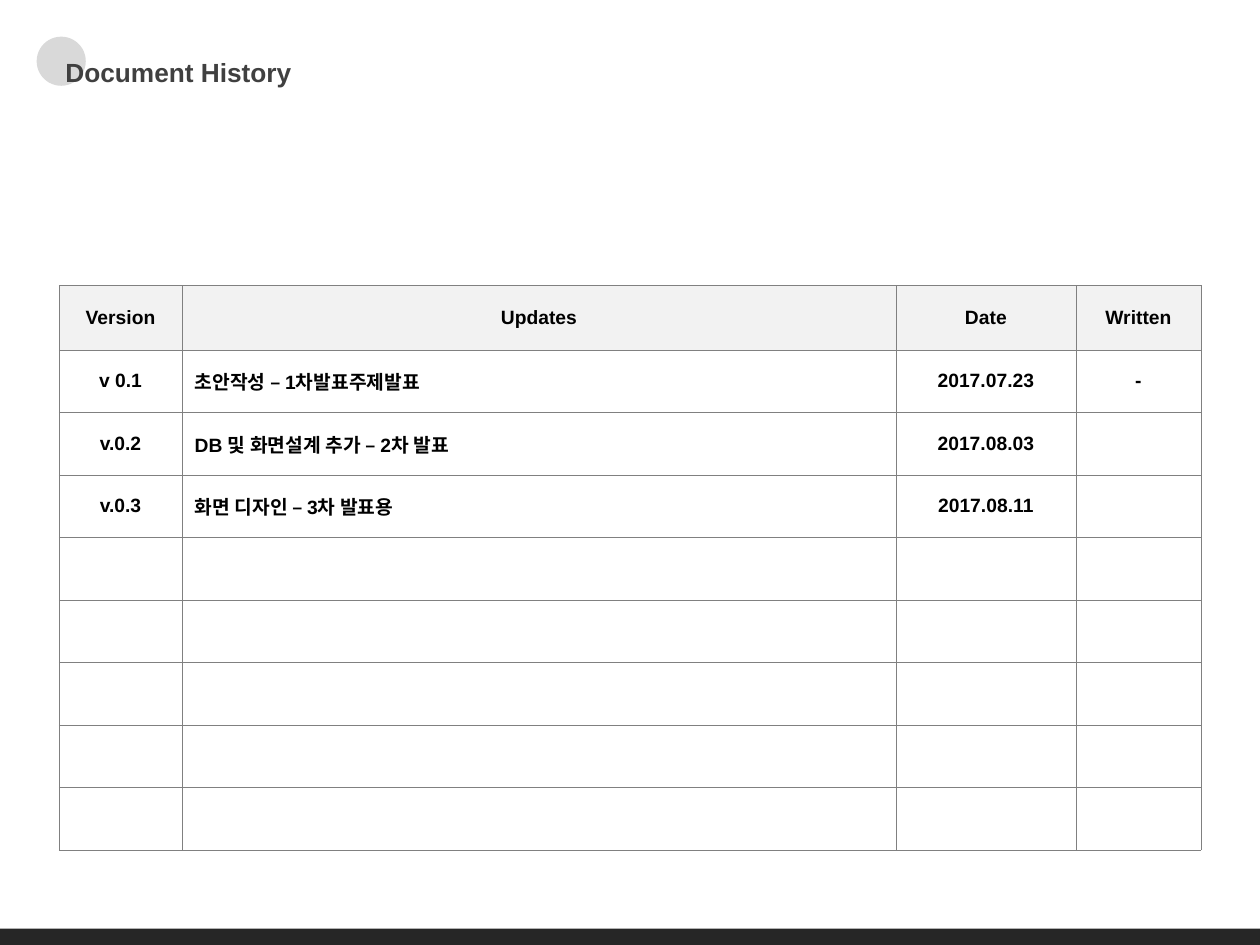
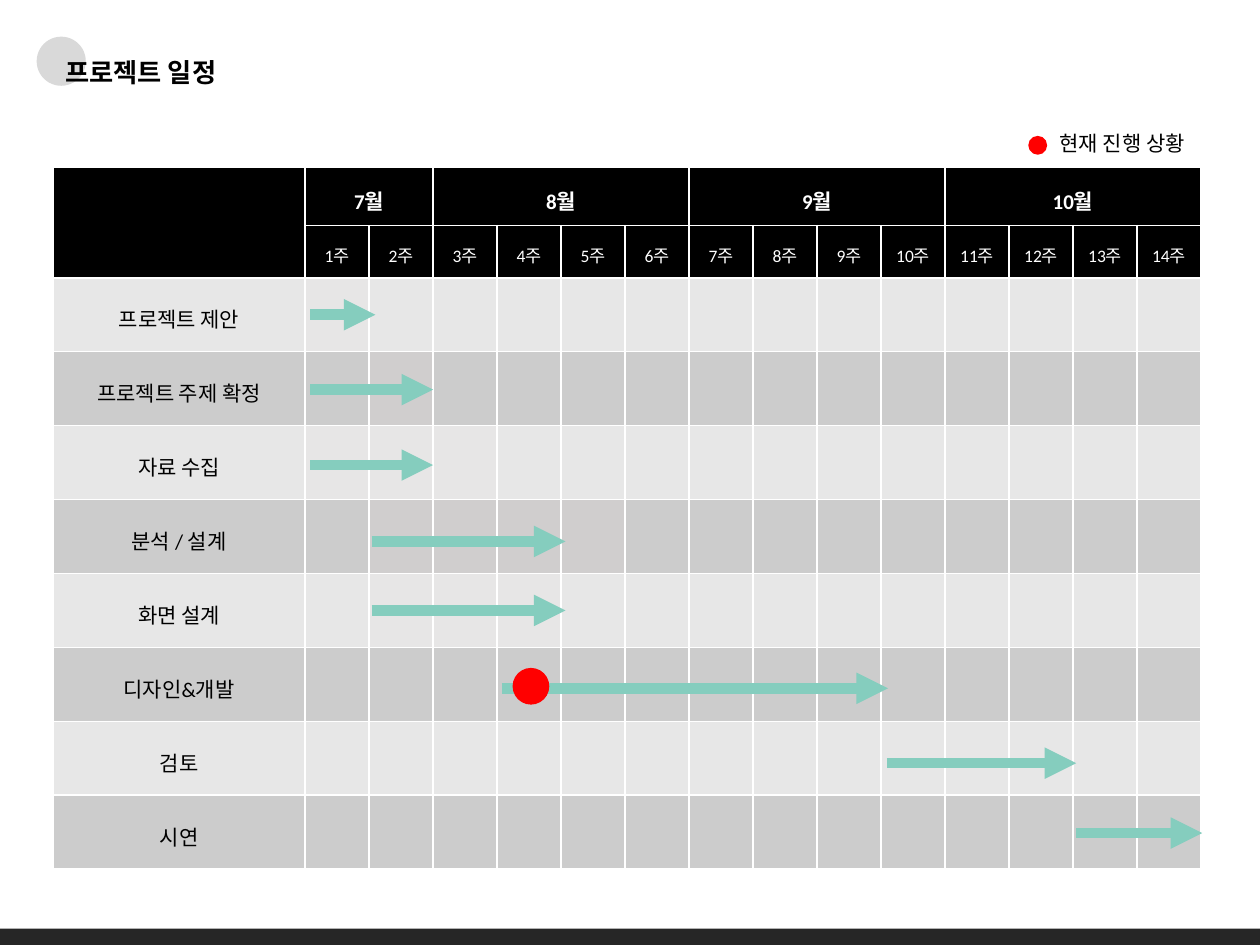
from dataclasses import dataclass

from lxml import etree
from pptx import Presentation
from pptx.dml.color import RGBColor
from pptx.enum.shapes import MSO_CONNECTOR, MSO_SHAPE
from pptx.enum.text import MSO_ANCHOR, PP_ALIGN
from pptx.oxml.ns import qn
from pptx.util import Cm, Pt

OVAL, RECT = MSO_SHAPE.OVAL, MSO_SHAPE.RECTANGLE
STRAIGHT = MSO_CONNECTOR.STRAIGHT
MIDDLE, BOTTOM, TOP = MSO_ANCHOR.MIDDLE, MSO_ANCHOR.BOTTOM, MSO_ANCHOR.TOP
LEFT, CENTER = PP_ALIGN.LEFT, PP_ALIGN.CENTER


@dataclass(frozen=True)
class Theme:
    black: str = "000000"
    white: str = "FFFFFF"
    title_gray: str = "404040"
    disc: str = "D9D9D9"
    band: str = "262626"
    head_fill: str = "F2F2F2"
    history_rule: str = "808080"
    stripes: tuple = ("E7E7E7", "CCCCCC")
    planned: tuple = ("E7E6E6", "D0CECE")
    arrow: str = "85CDBE"
    now: str = "FF0000"
    heading_font: str = "Arial"
    schedule_font: str = "Calibri"
    title_size: float = 15
    history_size: float = 11
    label_size: float = 12
    week_size: float = 10
    arrow_width: float = 6


THEME = Theme()

HISTORY_COLS = (2.48, 14.39, 3.63, 2.52)
HISTORY_HEAD = ("Version", "Updates", "Date", "Written")
HISTORY = (
    ("v 0.1", "초안작성 – 1차발표주제발표", "2017.07.23", "-"),
    ("v.0.2", "DB 및 화면설계 추가 – 2차 발표", "2017.08.03", ""),
    ("v.0.3", "화면 디자인 – 3차 발표용", "2017.08.11", ""),
)
HISTORY_BLANK_ROWS = 5
HISTORY_ROW_HEIGHTS = (1.3, 1.26)

MONTHS = (("7월", 2), ("8월", 4), ("9월", 4), ("10월", 4))
WEEKS = sum(weeks for _, weeks in MONTHS)
TASK_WIDTH, WEEK_WIDTH = 5.08, 1.29
MONTH_HEIGHT, WEEK_HEIGHT, TASK_HEIGHT = 1.18, 1.05, 1.49
# task, arrow start and end in weeks, arrow drop in cm, weeks tinted as planned
TASKS = (
    ("프로젝트 제안", 0.08, 1.1, 0, range(1, 2)),
    ("프로젝트 주제 확정", 0.08, 2, 0.02, range(2, 3)),
    ("자료 수집", 0.08, 2, 0.05, range(1, 4)),
    ("분석 / 설계", 1.04, 4.07, 0.1, range(2, 6)),
    ("화면 설계", 1.04, 4.07, 0, range(2, 5)),
    ("디자인&개발", 3.07, 9.11, 0.08, ()),
    ("검토", 9.09, 12.05, 0.1, ()),
    ("시연", 12.05, 14.02, 0.02, ()),
)
CURRENT_TASK, CURRENT_WEEK = 5, 3.53


def rgb(color):
    return RGBColor.from_string(color)


def write(frame, text, font, size, color, bold=False, align=LEFT, spacing=None):
    paragraph = frame.paragraphs[0]
    paragraph.text = text
    paragraph.alignment = align
    paragraph.line_spacing = spacing
    run_font = paragraph.runs[0].font
    for name, value in dict(name=font, size=Pt(size), bold=bold).items():
        setattr(run_font, name, value)
    run_font.color.rgb = rgb(color)


def add_text(slide, box, text, anchor, **style):
    frame = slide.shapes.add_textbox(*map(Cm, box)).text_frame
    frame.word_wrap = True
    frame.vertical_anchor = anchor
    write(frame, text, **style)


def add_plain(slide, kind, box, color):
    shape = slide.shapes.add_shape(kind, *map(Cm, box))
    shape.shadow.inherit = False
    shape.fill.solid()
    shape.fill.fore_color.rgb = rgb(color)
    shape.line.fill.background()


def add_dot(slide, x, y, diameter):
    """Red progress dot centred on x, y."""
    corner = (x - diameter / 2, y - diameter / 2)
    add_plain(slide, OVAL, (*corner, diameter, diameter), THEME.now)


def add_arrow(slide, x1, x2, y):
    arrow = slide.shapes.add_connector(STRAIGHT, *map(Cm, (x1, y, x2, y)))
    arrow.line.width = Pt(THEME.arrow_width)
    arrow.line.color.rgb = rgb(THEME.arrow)
    line = arrow.line._get_or_add_ln()
    etree.SubElement(line, qn("a:tailEnd"), type="triangle")
    etree.SubElement(arrow._element.spPr, qn("a:effectLst"))


def add_grid(slide, left, top, widths, heights):
    """Add a table without style banding, sized by its rows and columns."""
    box = map(Cm, (left, top, sum(widths), sum(heights)))
    table = slide.shapes.add_table(len(heights), len(widths), *box).table
    table.first_row = table.horz_banding = False
    for column, width in zip(table.columns, widths):
        column.width = Cm(width)
    for row, height in zip(table.rows, heights):
        row.height = Cm(height)
    return table


def format_cell(cell, fill, rule, rule_width):
    """Set borders, then fill: the schema wants them in that order."""
    properties = cell._tc.get_or_add_tcPr()
    for side in ("lnL", "lnR", "lnT", "lnB"):
        edge = etree.SubElement(properties, qn(f"a:{side}"), w=str(Pt(rule_width)))
        solid = etree.SubElement(edge, qn("a:solidFill"))
        etree.SubElement(solid, qn("a:srgbClr"), val=rule)
    if fill:
        cell.fill.solid()
        cell.fill.fore_color.rgb = rgb(fill)
    else:
        cell.fill.background()
    cell.vertical_anchor = MIDDLE


def add_frame(prs, title, color):
    """New slide with the disc, the bottom band and the title."""
    slide = prs.slides.add_slide(prs.slide_layouts[6])
    add_plain(slide, OVAL, (0.74, 0.74, 0.99, 0.99), THEME.disc)
    add_plain(slide, RECT, (0, 18.72, 25.4, 0.41), THEME.band)
    add_text(slide, (1.07, 0.99, 8.56, 0.92), title, BOTTOM,
             font=THEME.heading_font, size=THEME.title_size, color=color,
             bold=True, spacing=0.9)
    return slide


def add_history(slide, left, top):
    rows = (HISTORY_HEAD, *HISTORY) + (("",) * len(HISTORY_COLS),) * HISTORY_BLANK_ROWS
    head_height, row_height = HISTORY_ROW_HEIGHTS
    heights = [head_height] + [row_height] * (len(rows) - 1)
    table = add_grid(slide, left, top, HISTORY_COLS, heights)
    for r, entries in enumerate(rows):
        for c, text in enumerate(entries):
            cell = table.cell(r, c)
            format_cell(cell, None if r else THEME.head_fill, THEME.history_rule, 0.25)
            if text:
                write(cell.text_frame, text, THEME.heading_font, THEME.history_size,
                      THEME.black, bold=True, align=LEFT if r and c == 1 else CENTER)


def schedule_fill(row, week):
    if row < 2:
        return THEME.black
    task = row - 2
    shades = THEME.planned if week in TASKS[task][-1] else THEME.stripes
    return shades[task % 2]


def add_schedule_table(slide, left, top):
    widths = [TASK_WIDTH] + [WEEK_WIDTH] * WEEKS
    heights = [MONTH_HEIGHT, WEEK_HEIGHT] + [TASK_HEIGHT] * len(TASKS)
    table = add_grid(slide, left, top, widths, heights)
    for r in range(len(heights)):
        for c in range(len(widths)):
            format_cell(table.cell(r, c), schedule_fill(r, c), THEME.white, 1)

    def label(row, column, text, size, color, bold=False):
        write(table.cell(row, column).text_frame, text, THEME.schedule_font,
              size, color, bold, CENTER, 1.25)

    table.cell(0, 0).merge(table.cell(1, 0))
    first = 1
    for month, weeks in MONTHS:
        table.cell(0, first).merge(table.cell(0, first + weeks - 1))
        label(0, first, month, THEME.label_size, THEME.white, True)
        first += weeks
    for week in range(1, WEEKS + 1):
        label(1, week, f"{week}주", THEME.week_size, THEME.white)
    for r, (task, *_) in enumerate(TASKS, 2):
        label(r, 0, task, THEME.label_size, THEME.black)


def add_progress(slide, left, top):
    """Task arrows and the current dot, over a schedule table at left, top."""
    weeks_left = left + TASK_WIDTH
    tasks_top = top + MONTH_HEIGHT + WEEK_HEIGHT
    for i, (_, start, end, drop, _) in enumerate(TASKS):
        add_arrow(slide, weeks_left + start * WEEK_WIDTH, weeks_left + end * WEEK_WIDTH,
                  tasks_top + (i + 0.5) * TASK_HEIGHT + drop)
    add_dot(slide, weeks_left + CURRENT_WEEK * WEEK_WIDTH,
            tasks_top + (CURRENT_TASK + 0.5) * TASK_HEIGHT + 0.04, 0.74)


def add_legend(slide, left, top):
    add_dot(slide, left + 0.19, top + 0.42, 0.38)
    add_text(slide, (left + 0.38, top, 3.73, 0.76), "현재 진행 상황", TOP,
             font=THEME.schedule_font, size=THEME.label_size, color=THEME.black)


def main():
    prs = Presentation()
    prs.slide_width, prs.slide_height = Cm(25.4), Cm(19.05)

    history = add_frame(prs, "Document History", THEME.title_gray)
    add_history(history, 1.19, 5.75)

    schedule = add_frame(prs, "프로젝트 일정", THEME.black)
    corner = (1.07, 3.37)
    add_schedule_table(schedule, *corner)
    add_progress(schedule, *corner)
    add_legend(schedule, 20.73, 2.51)

    prs.save("out.pptx")


if __name__ == "__main__":
    main()
